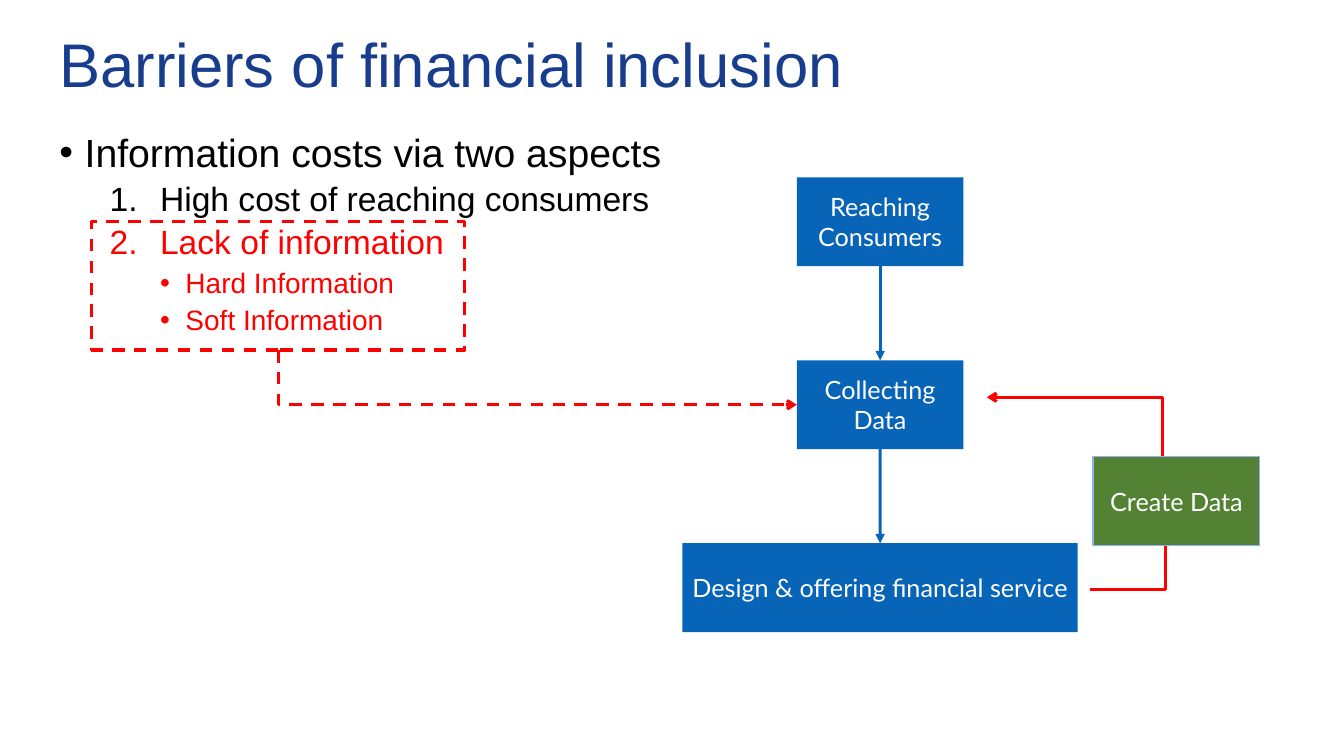
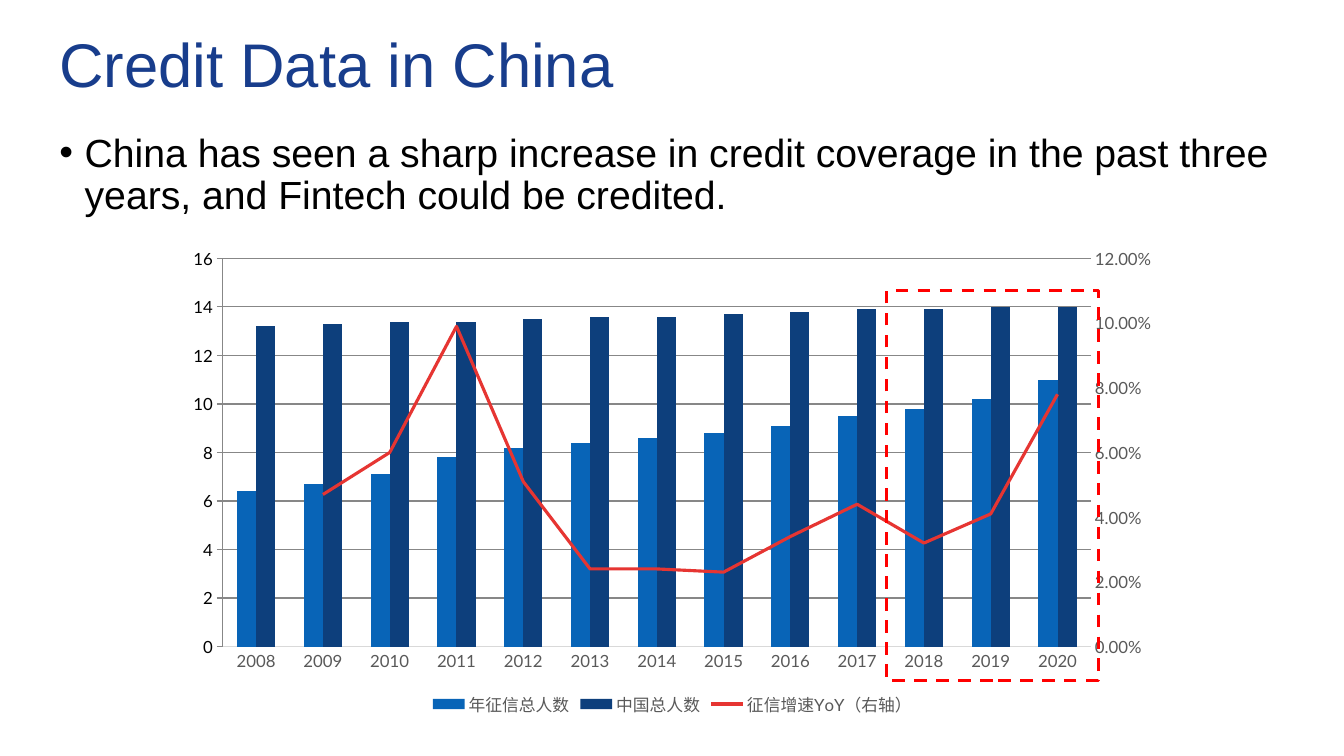
from lxml.etree import SubElement
from pptx import Presentation
from pptx.chart.axis import ValueAxis
from pptx.chart.data import CategoryChartData
from pptx.dml.color import RGBColor
from pptx.enum.chart import XL_CHART_TYPE, XL_LEGEND_POSITION, XL_MARKER_STYLE, XL_TICK_MARK
from pptx.enum.dml import MSO_LINE
from pptx.enum.shapes import MSO_CONNECTOR, MSO_SHAPE
from pptx.enum.text import MSO_ANCHOR, MSO_AUTO_SIZE, PP_ALIGN
from pptx.oxml import parse_xml
from pptx.oxml.ns import nsdecls, qn
from pptx.util import Cm, Pt

COLORS = {
    "title": "183D8C", "text": "000000", "alert": "FF0000", "step": "0864B7",
    "people": "0D3F7C", "growth": "E63532", "create": "548235",
    "edge": "90B0EF", "white": "FFFFFF", "label": "595959", "grid": "D9D9D9",
}
TITLE_BOX = (1.24, 0.53, 31.39, 2.36)
BODY_BOX = (1.24, 3.23, 31.39, 13.92)
FRAME = {"word_wrap": True, "auto_size": MSO_AUTO_SIZE.NONE}
TITLE_FONT = {"name": "Arial", "size": Pt(44)}
STEP_FONT = {"name": "Lato", "size": Pt(18)}
LABEL_FONT = {"name": "Lato", "size": Pt(12)}
LEVELS = [
    {"size": 28, "before": 10, "margin": 0.64, "hang": 0.64},
    {"size": 24, "before": 5, "margin": 2.54, "hang": 1.27},
    {"size": 20, "before": 5, "margin": 3.18, "hang": 0.64},
]
STEP_WIDTH, STEP_HEIGHT = 4.2, 2.24


def rgb(name):
    return RGBColor.from_string(COLORS[name])


def apply(target, values):
    for name, value in values.items():
        setattr(target, name, value)


def style_font(font, values, color):
    apply(font, values)
    font.color.rgb = rgb(color)


def style_line(line, color, points=2.25, dashed=False):
    line.color.rgb = rgb(color)
    line.width = Pt(points)
    if dashed:
        line.dash_style = MSO_LINE.DASH


def place(shape, box):
    apply(shape, dict(zip(("left", "top", "width", "height"), map(Cm, box))))


def prepare_layout(deck):
    layout = deck.slide_layouts[1]
    place(layout.placeholders[0], TITLE_BOX)
    place(layout.placeholders[1], BODY_BOX)
    return layout


def add_page(deck, layout, title, items):
    page = deck.slides.add_slide(layout)
    frame = page.shapes.title.text_frame
    frame.text = title
    apply(frame, {**FRAME, "vertical_anchor": MSO_ANCHOR.MIDDLE})
    apply(frame.paragraphs[0], {"alignment": PP_ALIGN.LEFT, "line_spacing": 0.9})
    style_font(frame.paragraphs[0].runs[0].font, TITLE_FONT, "title")
    fill_list(page.placeholders[1].text_frame, items)
    return page


def fill_list(frame, items):
    apply(frame, FRAME)
    for index, (level, color, text) in enumerate(items):
        para = frame.add_paragraph() if index else frame.paragraphs[0]
        look = LEVELS[level]
        apply(para, {"level": level, "line_spacing": 0.9,
                     "space_before": Pt(look["before"])})
        span = para.add_run()
        span.text = text
        style_font(span.font, {"name": "Arial", "size": Pt(look["size"])}, color)
        properties = para._p.get_or_add_pPr()
        properties.set("marL", str(Cm(look["margin"])))
        properties.set("indent", str(-Cm(look["hang"])))
        SubElement(properties, qn("a:buFont"), typeface="Arial")
        if level == 1:
            SubElement(properties, qn("a:buAutoNum"), type="arabicPeriod")
        else:
            SubElement(properties, qn("a:buChar"), char="•")


def add_rectangle(page, box):
    shape = page.shapes.add_shape(MSO_SHAPE.RECTANGLE, *map(Cm, box))
    shape.shadow.inherit = False
    return shape


def add_highlight(page, box):
    shape = add_rectangle(page, box)
    shape.fill.background()
    style_line(shape.line, "alert", dashed=True)
    return shape


def add_step(page, box, text, color="step"):
    shape = add_rectangle(page, box)
    shape.fill.solid()
    shape.fill.fore_color.rgb = rgb(color)
    shape.line.fill.background()
    apply(shape.text_frame, {"word_wrap": True, "vertical_anchor": MSO_ANCHOR.MIDDLE})
    para = shape.text_frame.paragraphs[0]
    para.alignment = PP_ALIGN.CENTER
    span = para.add_run()
    span.text = text
    style_font(span.font, STEP_FONT, "white")
    return shape


def add_link(page, kind, start, end, color, head=None, dashed=False):
    link = page.shapes.add_connector(kind, *map(Cm, start + end))
    style_line(link.line, color, dashed=dashed)
    if head:
        SubElement(link.line._get_or_add_ln(), qn("a:tailEnd"), type=head)
    SubElement(link._element.spPr, qn("a:effectLst"))
    return link


def join(link, first, first_side, second, second_side):
    link.begin_connect(first, first_side)
    link.end_connect(second, second_side)


def turn(link, **values):
    transform = link._element.spPr.find(qn("a:xfrm"))
    for name in ("flipH", "flipV"):
        transform.attrib.pop(name, None)
    for name, value in values.items():
        transform.set(name, value)


def add_flow(page, box):
    left, top, width, height = box
    gap = (height - 3 * STEP_HEIGHT) / 2
    design_width = 9.96
    center = left + design_width / 2
    steps = []
    for index, (text, step_width) in enumerate((
            ("Reaching Consumers", STEP_WIDTH),
            ("Collecting Data", STEP_WIDTH),
            ("Design & offering financial service", design_width))):
        step_top = top + index * (STEP_HEIGHT + gap)
        steps.append(add_step(
            page, (center - step_width / 2, step_top, step_width, STEP_HEIGHT), text))
    for upper, lower in zip(steps, steps[1:]):
        link = add_link(page, MSO_CONNECTOR.STRAIGHT, (center, top), (center, top),
                        "step", "triangle")
        join(link, upper, 2, lower, 0)
    for start, end, bend, flips, head in (
            ((12.04, 8.87), (7.67, 5.54), -1300, {}, "arrow"),
            ((12.04, 9.22), (10.26, 10.39), -6800, {"flipV": "1"}, None)):
        link = add_link(page, MSO_CONNECTOR.ELBOW,
                        (left + start[0], top + start[1]),
                        (left + end[0], top + end[1]), "alert", head)
        turn(link, rot="10800000", **flips)
        guides = link._element.spPr.find(qn("a:prstGeom")).get_or_add_avLst()
        SubElement(guides, qn("a:gd"), name="adj1", fmla=f"val {bend}")
    create = add_step(page, (left + width - STEP_WIDTH, top + 7.04,
                             STEP_WIDTH, STEP_HEIGHT), "Create Data", "create")
    style_line(create.line, "edge", 1)
    return steps


def add_callout(page, box, target):
    left, top, width, height = box
    source = add_highlight(page, box)
    start = (left + width / 2, top + height)
    end = (target.left.cm, target.top.cm + target.height.cm / 2)
    link = add_link(page, MSO_CONNECTOR.ELBOW, start, end, "alert", "arrow", True)
    join(link, source, 2, target, 1)
    across, down = end[0] - start[0], end[1] - start[1]
    place(link, (start[0] + (across - down) / 2,
                 start[1] + (down - across) / 2, down, across))
    link._element.spPr.find(qn("a:prstGeom")).set("prst", "bentConnector2")
    turn(link, rot="16200000", flipH="1")


def move_to_right_axis(chart):
    bars = chart.plots[0]._element
    growth = bars.findall(qn("c:ser"))[-1]
    bars.remove(growth)
    for flag in growth.findall(qn("c:invertIfNegative")):
        growth.remove(flag)
    lines = parse_xml(
        f'<c:lineChart {nsdecls("c")}><c:grouping val="standard"/>'
        '<c:varyColors val="0"/><c:marker val="1"/>'
        '<c:axId val="5001"/><c:axId val="5002"/></c:lineChart>')
    lines.insert(2, growth)
    bars.addnext(lines)
    hidden, right = (parse_xml(
        f'<c:{tag} {nsdecls("c")}><c:axId val="{own}"/>'
        '<c:scaling><c:orientation val="minMax"/></c:scaling>'
        f'<c:delete val="{gone}"/><c:axPos val="{side}"/>'
        '<c:majorTickMark val="out"/><c:minorTickMark val="none"/>'
        f'<c:tickLblPos val="nextTo"/><c:crossAx val="{other}"/>'
        f'<c:crosses val="{crosses}"/></c:{tag}>')
        for tag, own, gone, side, other, crosses in (
            ("catAx", 5001, 1, "b", 5002, "autoZero"),
            ("valAx", 5002, 0, "r", 5001, "max")))
    chart.value_axis._element.addnext(hidden)
    hidden.addnext(right)
    return ValueAxis(right)


def style_value_axis(axis, top, unit, number_format):
    apply(axis, {"minimum_scale": 0, "maximum_scale": top, "major_unit": unit})
    apply(axis.tick_labels, {"number_format": number_format,
                             "number_format_is_linked": False})
    axis.format.line.fill.background()


def add_credit_chart(page, box):
    data = CategoryChartData()
    data.categories = [str(year) for year in range(2008, 2021)]
    data.add_series("年征信总人数", (
        6.4, 6.7, 7.1, 7.8, 8.2, 8.4, 8.6, 8.8, 9.1, 9.5, 9.8, 10.2, 11))
    data.add_series("中国总人数", (
        13.2, 13.3, 13.4, 13.4, 13.5, 13.6, 13.6, 13.7, 13.8, 13.9, 13.9, 14, 14))
    data.add_series("征信增速YoY（右轴）", (
        None, 0.047, 0.06, 0.099, 0.051, 0.024, 0.024, 0.023, 0.034, 0.044,
        0.032, 0.041, 0.078), "0.00%")
    chart = page.shapes.add_chart(
        XL_CHART_TYPE.COLUMN_CLUSTERED, *map(Cm, box), data).chart
    style_font(chart.font, LABEL_FONT, "text")
    apply(chart, {"has_title": False, "has_legend": True})
    apply(chart.legend, {"position": XL_LEGEND_POSITION.BOTTOM,
                         "include_in_layout": False})
    right_axis = move_to_right_axis(chart)
    columns, lines = chart.plots
    apply(columns, {"gap_width": 150, "vary_by_categories": False})
    for series, color in zip(columns.series, ("step", "people")):
        series.format.fill.solid()
        series.format.fill.fore_color.rgb = rgb(color)
    growth = lines.series[0]
    growth.smooth = False
    growth.marker.style = XL_MARKER_STYLE.NONE
    style_line(growth.format.line, "growth")
    years, people = chart.category_axis, chart.value_axis
    style_line(years.format.line, "grid", 0.75)
    style_line(people.major_gridlines.format.line, "grid", 0.75)
    style_value_axis(people, 16, 2, "General")
    style_value_axis(right_axis, 0.12, 0.02, "0.00%")
    for axis in (years, people):
        axis.major_tick_mark = XL_TICK_MARK.NONE
    for labels in (years.tick_labels, people.tick_labels,
                   right_axis.tick_labels, chart.legend):
        style_font(labels.font, LABEL_FONT, "label")
    add_highlight(page, (box[0] + 17.98, box[1] + 1.3, 5.33, 9.83))


def main():
    deck = Presentation()
    apply(deck, {"slide_width": Cm(33.87), "slide_height": Cm(19.05)})
    layout = prepare_layout(deck)
    barriers = add_page(deck, layout, "Barriers of financial inclusion", (
        (0, "text", "Information costs via two aspects"),
        (1, "text", "High cost of reaching consumers"),
        (1, "alert", "Lack of information"),
        (2, "alert", "Hard Information"),
        (2, "alert", "Soft Information")))
    steps = add_flow(barriers, (17.2, 4.47, 14.55, 11.46))
    add_callout(barriers, (2.31, 5.59, 9.4, 3.23), steps[1])
    credit = add_page(deck, layout, "Credit Data in China", (
        (0, "text", "China has seen a sharp increase in credit coverage in the past "
                    "three years, and Fintech could be credited."),))
    add_credit_chart(credit, (4.37, 6.02, 25.15, 12.14))
    deck.save("out.pptx")


if __name__ == "__main__":
    main()
